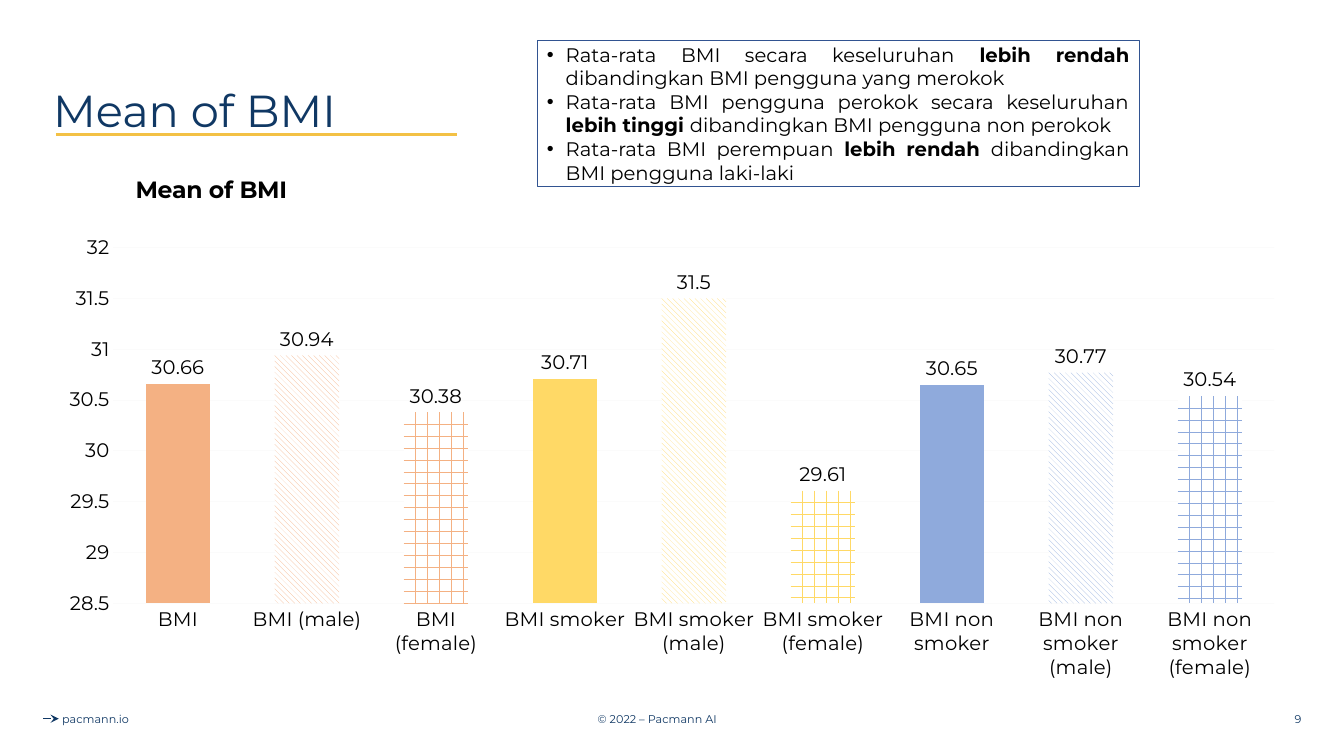
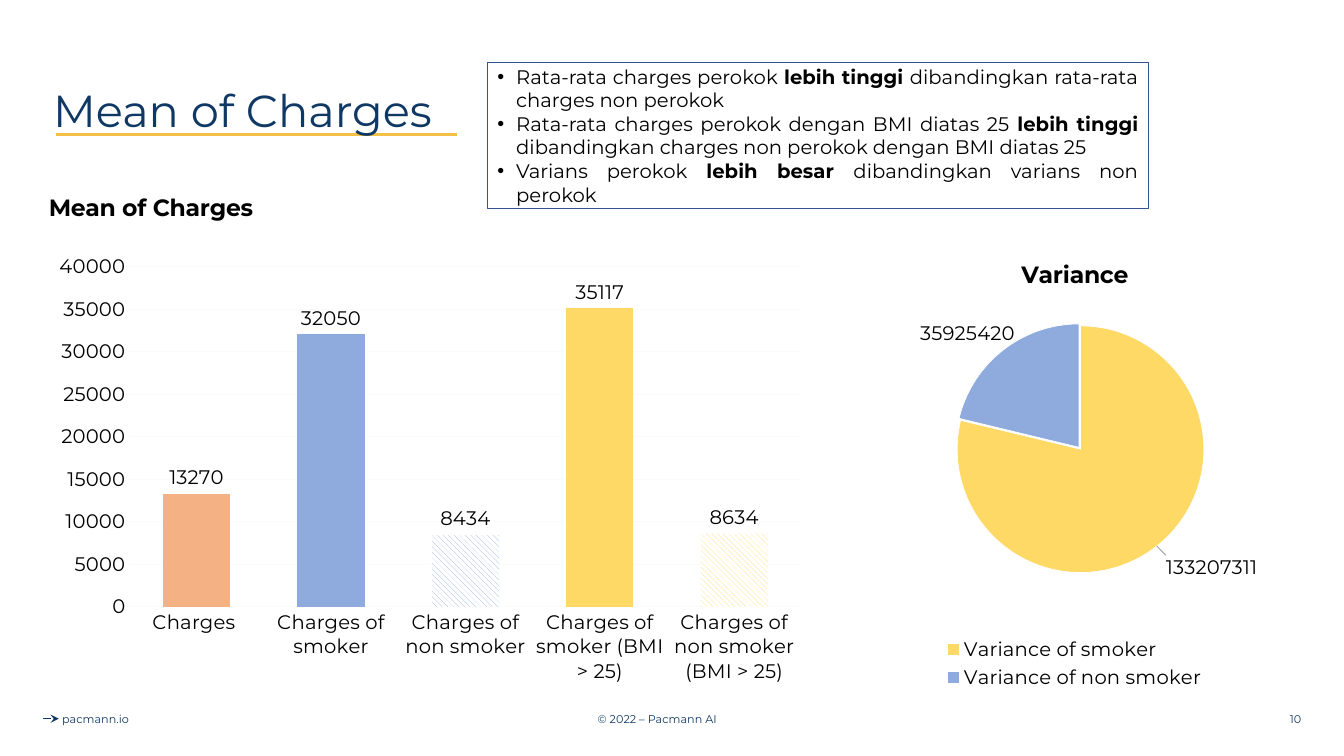
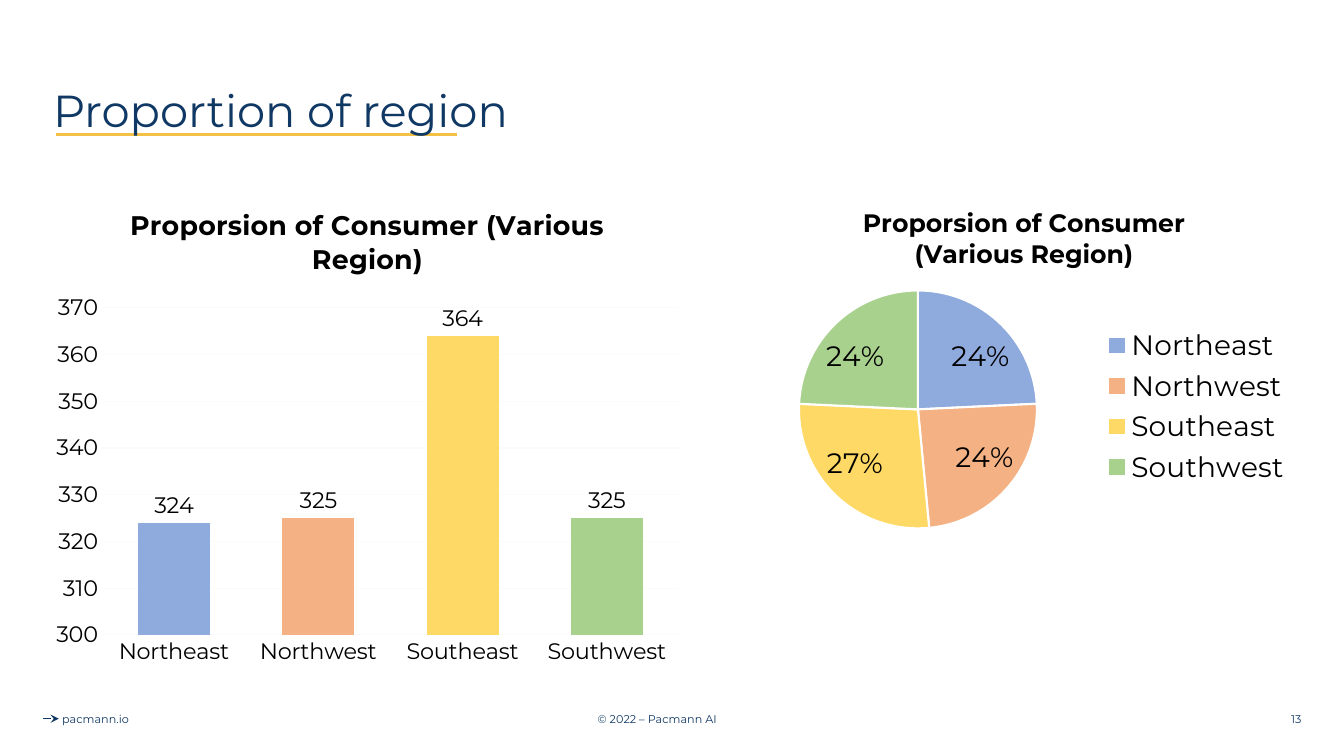
"""Build three insurance-analysis slides with native charts and shared page furniture."""
from collections import namedtuple

from lxml.etree import SubElement
from pptx import Presentation
from pptx.chart.data import CategoryChartData
from pptx.dml.color import RGBColor
from pptx.enum.chart import XL_CHART_TYPE, XL_LABEL_POSITION, XL_LEGEND_POSITION, XL_TICK_MARK
from pptx.enum.dml import MSO_PATTERN
from pptx.enum.shapes import MSO_CONNECTOR
from pptx.enum.text import MSO_ANCHOR, MSO_AUTO_SIZE, PP_ALIGN
from pptx.oxml.ns import qn
from pptx.util import Pt

Box = namedtuple("Box", "left top width height")
FONT = "Montserrat"
COLORS = {
    "navy": "103864", "gold": "F3C145", "border": "325491", "grid": "FBFBFB",
    "black": "000000", "white": "FFFFFF", "orange": "F4B183", "yellow": "FFD966",
    "blue": "8FAADC", "green": "A9D18E", "leader": "A6A6A6",
}
STRIPES = MSO_PATTERN.WIDE_DOWNWARD_DIAGONAL
BRICKS = MSO_PATTERN.HORIZONTAL_BRICK
REGIONS = ["Northeast", "Northwest", "Southeast", "Southwest"]
REGION_FILLS = [(name, None) for name in ("blue", "orange", "yellow", "green")]


def color(name):
    return RGBColor.from_string(COLORS[name])


def style(font, size, name="black", bold=None):
    font.name, font.size, font.bold = FONT, Pt(size), bold
    font.color.rgb = color(name)


def move(shape, box):
    shape.left, shape.top, shape.width, shape.height = (Pt(length) for length in box)


def add_line(page, start, end, name, weight):
    line = page.shapes.add_connector(MSO_CONNECTOR.STRAIGHT, *(Pt(v) for v in start + end))
    line.line.color.rgb = color(name)
    line.line.width = Pt(weight)
    SubElement(line.element.spPr, qn("a:effectLst"))
    return line


def add_footer(page, box, number):
    middle = box.top + box.height / 2
    arrow = add_line(page, (box.left, middle), (box.left + 11, middle), "navy", 0.75)
    SubElement(arrow.line._get_or_add_ln(), qn("a:tailEnd"), type="stealth")
    parts = [
        ("pacmann.io", 6.3, 120, PP_ALIGN.LEFT),
        ("© 2022 – Pacmann AI", 276.6, 324, PP_ALIGN.CENTER),
        (str(number), 689.7, 216, PP_ALIGN.RIGHT),
    ]
    for text, offset, width, align in parts:
        label = page.shapes.add_textbox(
            Pt(box.left + offset), Pt(box.top), Pt(width), Pt(box.height))
        frame = label.text_frame
        frame.word_wrap, frame.vertical_anchor = True, MSO_ANCHOR.MIDDLE
        para = frame.paragraphs[0]
        para.text, para.alignment = text, align
        style(para.font, 8, "navy")


def add_page(deck, layout, title, number):
    page = deck.slides.add_slide(deck.slide_layouts[layout])
    heading = page.shapes.title
    move(heading, Box(30.7, 28.8, 897.8, 104.4))
    frame = heading.text_frame
    frame.auto_size, frame.vertical_anchor = MSO_AUTO_SIZE.NONE, MSO_ANCHOR.MIDDLE
    para = frame.paragraphs[0]
    para.text, para.alignment, para.line_spacing = title, PP_ALIGN.LEFT, 0.9
    style(para.font, 32, "navy")
    underline = add_line(page, (40, 96.3), (326.2, 96.3), "gold", 2.25)
    heading.element.addprevious(underline.element)
    add_footer(page, Box(31, 499, 906, 28.8), number)
    return page


def add_findings(page, box, findings):
    body = page.placeholders[1]
    move(body, box)
    body.line.color.rgb = color("border")
    body.line.width = Pt(0.25)
    frame = body.text_frame
    frame.auto_size, frame.vertical_anchor = MSO_AUTO_SIZE.NONE, MSO_ANCHOR.MIDDLE
    for index, finding in enumerate(findings):
        para = frame.add_paragraph() if index else frame.paragraphs[0]
        para.alignment, para.line_spacing = PP_ALIGN.JUSTIFY, 1.0
        para.space_before = para.space_after = Pt(0)
        properties = para._p.get_or_add_pPr()
        properties.set("marL", str(Pt(13.5)))
        properties.set("indent", str(Pt(-13.5)))
        SubElement(SubElement(properties, qn("a:buClr")), qn("a:srgbClr"), val=COLORS["black"])
        SubElement(properties, qn("a:buFont"), typeface="Arial")
        SubElement(properties, qn("a:buChar"), char="•")
        style(para.font, 14)
        for position, text in enumerate(finding):
            span = para.add_run()
            span.text = text
            span.font.bold = position == 1


def set_layout(parent, index, values):
    """Write a manual layout as the child of parent at index."""
    for old in parent.findall(qn("c:layout")):
        parent.remove(old)
    layout = SubElement(parent, qn("c:layout"))
    parent.insert(index, layout)
    manual = SubElement(layout, qn("c:manualLayout"))
    for tag, value in values.items():
        SubElement(manual, qn(f"c:{tag}"), val=str(value))


def place(chart, tag, index, box, area):
    values = {"layoutTarget": "inner"} if tag == "plotArea" else {}
    values |= {"xMode": "edge", "yMode": "edge"}
    values["x"] = round((area[0] - box.left) / box.width, 4)
    values["y"] = round((area[1] - box.top) / box.height, 4)
    if len(area) == 4:
        values["w"] = round(area[2] / box.width, 4)
        values["h"] = round(area[3] / box.height, 4)
    set_layout(chart.element.find(f".//{qn('c:' + tag)}"), index, values)


def add_chart(page, kind, box, plot_area, title, title_at, title_size, size, cats, vals, fills):
    data = CategoryChartData()
    data.categories = cats
    data.add_series("Series 1", vals)
    chart = page.shapes.add_chart(kind, *(Pt(length) for length in box), data).chart
    style(chart.font, size)
    chart.has_legend = False
    chart.has_title = True
    para = chart.chart_title.text_frame.paragraphs[0]
    para.text = title
    style(para.font, title_size, bold=True)
    chart.chart_title.include_in_layout = False
    place(chart, "title", 1, box, title_at)
    place(chart, "plotArea", 0, box, plot_area)
    series = chart.plots[0].series[0]
    for index, (name, pattern) in enumerate(fills):
        fill = series.points[index].format.fill
        if pattern is None:
            fill.solid()
            fill.fore_color.rgb = color(name)
        else:
            fill.patterned()
            fill.pattern = pattern
            fill.fore_color.rgb, fill.back_color.rgb = color(name), color("white")
    labels = series.data_labels
    labels.show_value, labels.position = True, XL_LABEL_POSITION.OUTSIDE_END
    style(labels.font, size)
    return chart


def add_columns(page, box, plot_area, title, title_at, size, cats, vals, fills, scale):
    chart = add_chart(page, XL_CHART_TYPE.COLUMN_CLUSTERED, box, plot_area, title, title_at,
                      size * 1.2, size, cats, vals, fills)
    plot = chart.plots[0]
    plot.vary_by_categories, plot.gap_width, plot.overlap = False, 100, -24
    category, value = chart.category_axis, chart.value_axis
    for axis in (category, value):
        axis.major_tick_mark = axis.minor_tick_mark = XL_TICK_MARK.NONE
        style(axis.tick_labels.font, size)
    value.minimum_scale, value.maximum_scale, value.major_unit = scale
    value.has_major_gridlines = True
    for line in (category.format.line, value.major_gridlines.format.line):
        line.color.rgb = color("grid")
        line.width = Pt(0.75)
    value.format.line.fill.background()


def add_pie(page, box, plot_area, title, title_at, title_size, size, cats, vals, fills,
            legend_position, legend_area, border):
    chart = add_chart(page, XL_CHART_TYPE.PIE, box, plot_area, title, title_at,
                      title_size, size, cats, vals, fills)
    chart.plots[0].vary_by_categories = True
    chart.has_legend = True
    chart.legend.position, chart.legend.include_in_layout = legend_position, False
    style(chart.legend.font, size)
    place(chart, "legend", 1, box, legend_area)
    series = chart.plots[0].series[0]
    for index in range(len(vals)):
        line = series.points[index].format.line
        line.color.rgb = color("white")
        line.width = Pt(border)
    return series


def explode(series, percent):
    explosion = SubElement(series._element, qn("c:explosion"), val=str(percent))
    series._element.find(qn("c:dPt")).addprevious(explosion)


def shift_labels(series, size, offsets):
    """Move the labels of a pie by fractions of the chart and join them with leader lines."""
    for index, (across, down) in enumerate(offsets):
        label = series.points[index].data_label
        style(label.font, size)
        label.position = XL_LABEL_POSITION.OUTSIDE_END
    labels = series._element.find(qn("c:dLbls"))
    for single, (across, down) in zip(labels.findall(qn("c:dLbl")), offsets):
        set_layout(single, 1, {"x": across, "y": down})
    for old in labels.findall(qn("c:showLeaderLines")):
        labels.remove(old)
    SubElement(labels, qn("c:showLeaderLines"), val="1")
    leader = SubElement(SubElement(labels, qn("c:leaderLines")), qn("c:spPr"))
    line = SubElement(leader, qn("a:ln"), w=str(Pt(0.75)))
    SubElement(SubElement(line, qn("a:solidFill")), qn("a:srgbClr"), val=COLORS["leader"])


def build_bmi(deck):
    page = add_page(deck, 1, "Mean of BMI", 9)
    groups = ["BMI", "BMI smoker", "BMI non smoker"]
    add_columns(
        page, Box(31.7, 119.5, 897.1, 373.7), Box(81, 176.9, 829.3, 254.2),
        "Mean of BMI", (93.8, 121.2), 14,
        [group + suffix for group in groups for suffix in ("", " (male)", " (female)")],
        [30.66, 30.94, 30.38, 30.71, 31.5, 29.61, 30.65, 30.77, 30.54],
        [(name, pattern) for name in ("orange", "yellow", "blue")
         for pattern in (None, STRIPES, BRICKS)],
        (28.5, 32, 0.5))
    add_findings(page, Box(383.4, 28.8, 430.6, 104.4), [
        ("Rata-rata BMI secara keseluruhan ", "lebih rendah ",
         "dibandingkan BMI pengguna yang merokok"),
        ("Rata-rata BMI pengguna perokok secara keseluruhan ", "lebih tinggi ",
         "dibandingkan BMI pengguna non perokok"),
        ("Rata-rata BMI perempuan ", "lebih rendah ", "dibandingkan BMI pengguna laki-laki"),
    ])


def build_charges(deck):
    page = add_page(deck, 1, "Mean of Charges", 10)
    add_findings(page, Box(348, 44.5, 472.3, 104.4), [
        ("Rata-rata charges perokok ", "lebih tinggi ",
         "dibandingkan rata-rata charges non perokok"),
        ("Rata-rata charges perokok dengan BMI diatas 25 ", "lebih tinggi ",
         "dibandingkan charges non perokok dengan BMI diatas 25"),
        ("Varians perokok ", "lebih besar ", "dibandingkan varians non perokok"),
    ])
    add_columns(
        page, Box(31.7, 133.2, 551.5, 362.2), Box(92.5, 190.6, 480, 243),
        "Mean of Charges", (31.8, 133.5), 14,
        ["Charges ", "Charges of smoker", "Charges of non smoker",
         "Charges of smoker (BMI > 25)", "Charges of non smoker (BMI > 25)"],
        [13270, 32050, 8434, 35117, 8634],
        [("orange", None), ("blue", None), ("blue", STRIPES),
         ("yellow", None), ("yellow", STRIPES)],
        (0, 40000, 5000))
    series = add_pie(
        page, Box(576, 171.4, 384, 324), Box(682.3, 231.2, 178, 178),
        "Variance", (726.5, 181.7), 16.8, 14,
        ["Variance of smoker", "Variance of non smoker"], [133207311, 35925420],
        [("yellow", None), ("blue", None)],
        XL_LEGEND_POSITION.BOTTOM, Box(671.2, 452.9, 193, 42.6), 0.5)
    explode(series, 1)
    shift_labels(series, 14, [(0.01, 0.01), (0.03, 0)])


def build_regions(deck):
    page = add_page(deck, 5, "Proportion of region", 13)
    title = "Proporsion of Consumer (Various Region)"
    add_columns(
        page, Box(31, 133.2, 463.7, 349.2), Box(72.8, 220, 412.3, 233.5),
        title, (89.4, 143.7), 16, REGIONS, [324, 325, 364, 325], REGION_FILLS, (300, 370, 10))
    series = add_pie(
        page, Box(533.5, 133.2, 396, 313.2), Box(570.7, 207.5, 170, 170),
        title, (613, 143.5), 18, 20, REGIONS, [24, 24, 27, 24], REGION_FILLS,
        XL_LEGEND_POSITION.RIGHT, Box(786.9, 230.3, 135, 120), 1.5)
    labels = series.data_labels
    labels.show_value, labels.show_percentage = False, True
    labels.number_format, labels.number_format_is_linked = "0%", False
    labels.position = XL_LABEL_POSITION.BEST_FIT


def main():
    deck = Presentation()
    deck.slide_width, deck.slide_height = Pt(960), Pt(540)
    for build in (build_bmi, build_charges, build_regions):
        build(deck)
    deck.save("out.pptx")


if __name__ == "__main__":
    main()
